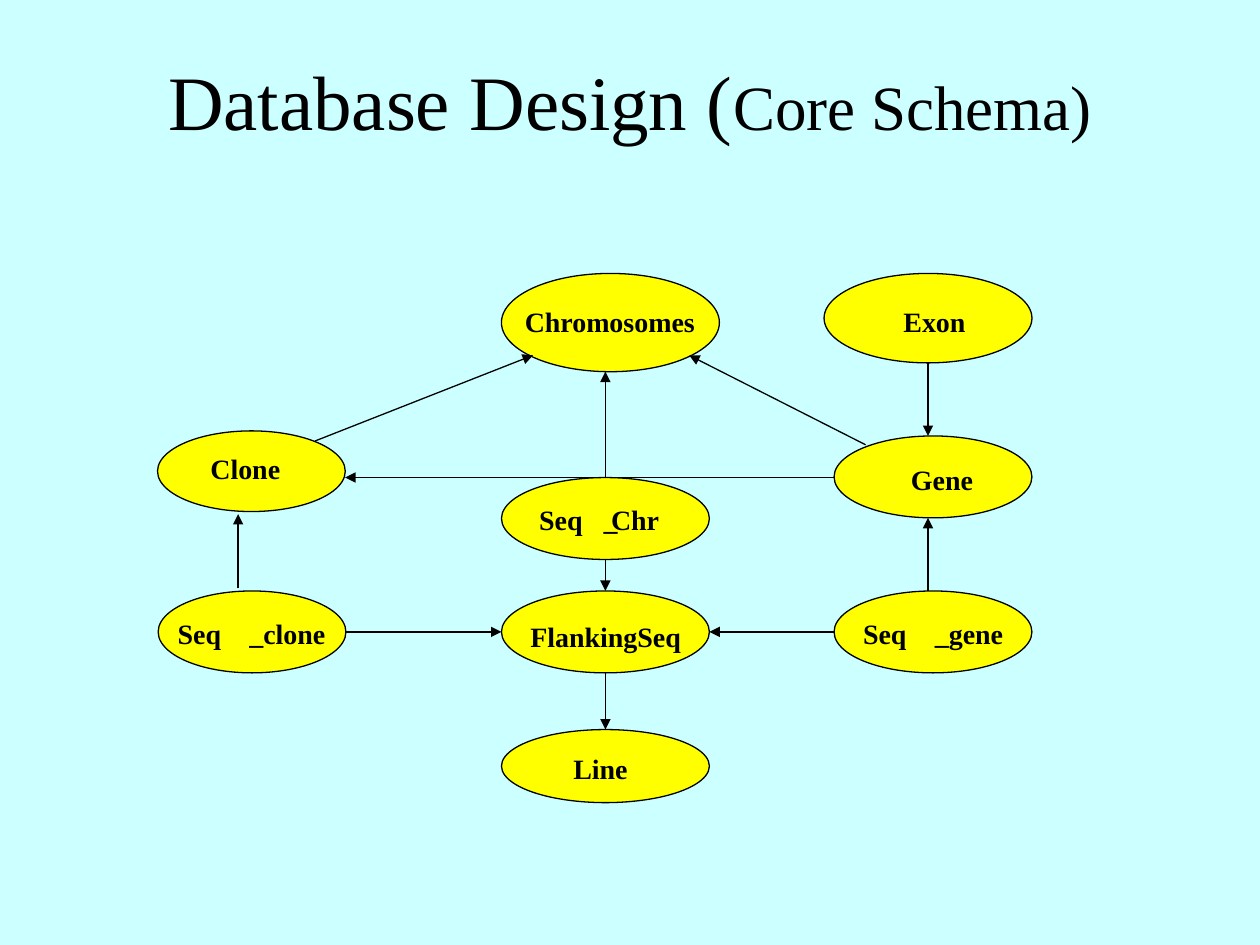
"""Draw the core schema of the database as ellipses joined by arrows."""
from lxml import etree
from pptx import Presentation
from pptx import util as u
from pptx.dml.color import RGBColor
from pptx.enum import shapes, text
from pptx.oxml.ns import qn

BLACK = RGBColor(0, 0, 0)
YELLOW = RGBColor(0xFF, 0xFF, 0)
PALE_CYAN = RGBColor(0xCC, 0xFF, 0xFF)

prs = Presentation()
prs.slide_width, prs.slide_height = u.Inches(10), u.Inches(7.5)
COL, ROW = prs.slide_width / 100, prs.slide_height / 75
s = prs.slides.add_slide(prs.slide_layouts[6])
s.background.fill.solid()
s.background.fill.fore_color.rgb = PALE_CYAN


def place(x, y, w, h):
    return [round(v) for v in (x * COL, y * ROW, w * COL, h * ROW)]


def write(box, runs, align, frame, **font):
    tf = s.shapes.add_textbox(*place(*box)).text_frame
    for name, value in frame.items():
        setattr(tf, name, value)
    p = tf.paragraphs[0]
    p.alignment = align
    for words, size in runs:
        r = p.add_run()
        r.text = words
        for name, value in {"name": "Times New Roman", "size": u.Pt(size), **font}.items():
            setattr(r.font, name, value)
        r.font.color.rgb = BLACK


write((7.5, 1.65, 85, 12.5), [("Database Design (", 44), ("Core Schema)", 36)],
      text.PP_ALIGN.CENTER, {"word_wrap": True, "vertical_anchor": text.MSO_ANCHOR.MIDDLE})

LEFT, MID, RIGHT = (12.55, 14.9), (39.8, 16.5), (66.2, 15.7)
TOP, CENTRE, LOWER, BOTTOM = 21.7, 37.9, 46.9, 57.9
DEEP = 6.5
ellipses = [
    (39.8, TOP, 17.3, 7.8),
    (65.4, TOP, 16.5, 7.1),
    (12.5, 34.2, LEFT[1], 6.4),
    (RIGHT[0], 34.6, RIGHT[1], DEEP),
    (MID[0], CENTRE, MID[1], DEEP),
    *((x, LOWER, w, DEEP) for x, w in (LEFT, MID, RIGHT)),
    (MID[0], BOTTOM, MID[1], 5.8),
]
for box in ellipses:
    sp = s.shapes.add_shape(shapes.MSO_SHAPE.OVAL, *place(*box))
    sp.shadow.inherit = False
    sp.fill.solid()
    sp.fill.fore_color.rgb = YELLOW
    sp.line.color.rgb = BLACK
    sp.line.width = u.Pt(0.75)

labels = [
    ("Chromosomes", 41.65, 24.2, 14.1), ("Exon", 71.7, 24.2, 5.2),
    ("Clone", 16.7, 35.85, 5.8), ("Gene", 72.3, 36.7, 5.2),
    ("Seq", 42.8, 39.9, 3.7), ("_", 47.9, 39.9, 1.3), ("Chr", 48.5, 39.9, 4.1),
    ("Seq", 14.1, 48.95, 3.7), ("_clone", 19.8, 48.95, 6.3),
    ("FlankingSeq", 42.1, 49.2, 12.3),
    ("Seq", 68.5, 48.95, 3.7), ("_gene", 74.2, 48.95, 5.7),
    ("Line", 45.5, 59.65, 4.6),
]
tight = {"word_wrap": True, "auto_size": text.MSO_AUTO_SIZE.SHAPE_TO_FIT_TEXT,
         "margin_left": 0, "margin_top": 0, "margin_right": 0, "margin_bottom": 0}
for words, x, y, w in labels:
    write((x, y, w, 2.7), [(words, 16)], text.PP_ALIGN.LEFT, tight, bold=True)

AXIS, GENE_AXIS, FLOW = 48.05, 73.65, 50.15
arrows = [
    (25, 35, 42.3, 28.2),
    (68.7, 35.3, 54.7, 28.2),
    (AXIS, CENTRE, AXIS, 29.5),
    (66.2, CENTRE, 27.4, CENTRE),
    (GENE_AXIS, 28.8, GENE_AXIS, 34.6),
    (GENE_AXIS, LOWER, GENE_AXIS, 41.1),
    (18.9, 46.7, 18.9, 40.8),
    (27.4, FLOW, 39.8, FLOW),
    (66.2, FLOW, 56.3, FLOW),
    (AXIS, CENTRE + DEEP, AXIS, LOWER),
    (AXIS, LOWER + DEEP, AXIS, BOTTOM),
]
for ends in arrows:
    line = s.shapes.add_connector(shapes.MSO_CONNECTOR.STRAIGHT, *place(*ends))
    line.line.color.rgb = BLACK
    line.line.width = u.Pt(0.75)
    etree.SubElement(line.line._get_or_add_ln(), qn("a:tailEnd"), type="triangle", w="med", len="med")
    etree.SubElement(line._element.spPr, qn("a:effectLst"))

prs.save("out.pptx")
